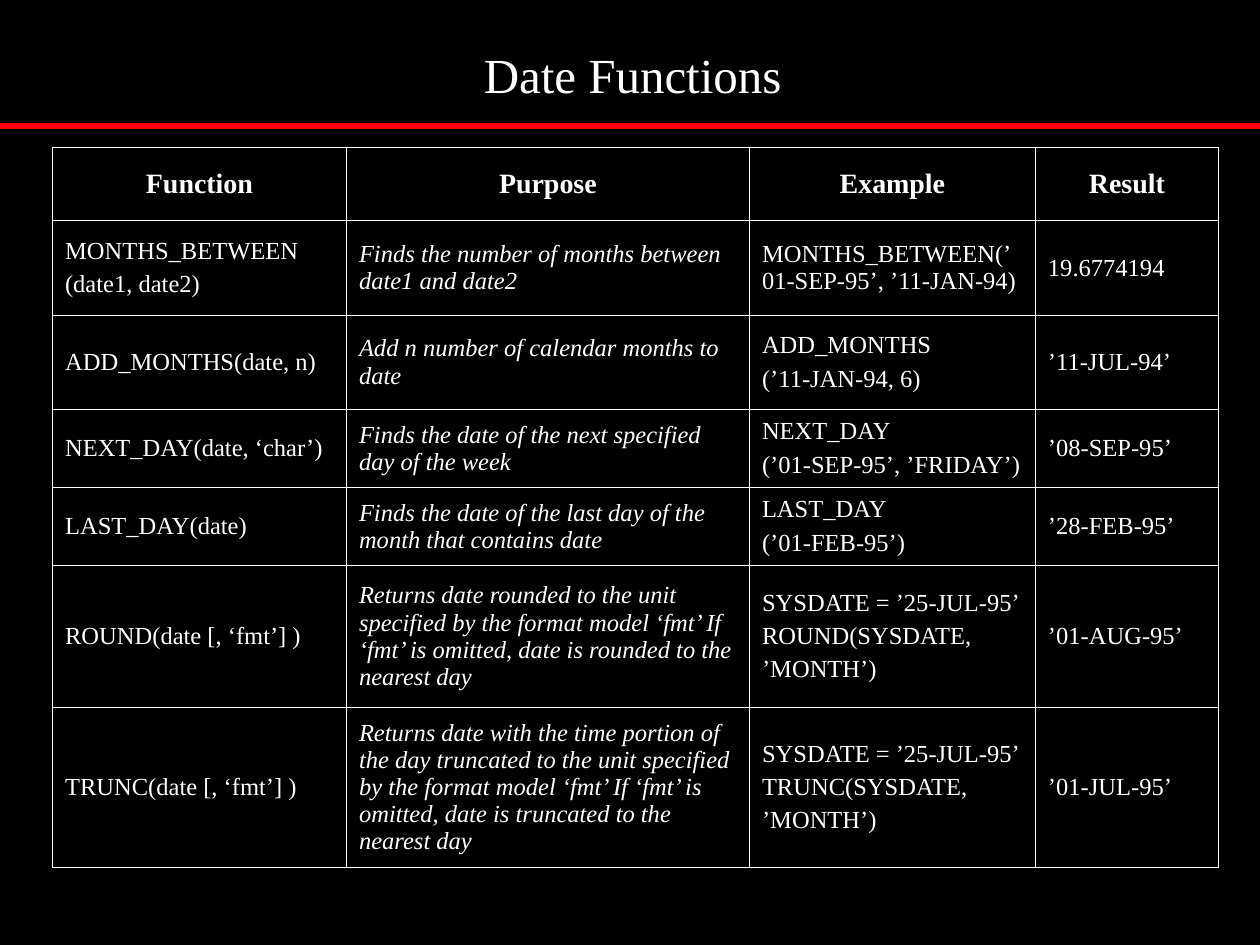
from lxml import etree
from pptx import Presentation
from pptx.dml.color import RGBColor
from pptx.enum.shapes import MSO_CONNECTOR
from pptx.enum.text import MSO_ANCHOR, PP_ALIGN
from pptx.oxml.ns import qn
from pptx.util import Pt

STRAIGHT = MSO_CONNECTOR.STRAIGHT
MIDDLE = MSO_ANCHOR.MIDDLE
LEFT, CENTER = PP_ALIGN.LEFT, PP_ALIGN.CENTER

COLUMN_WIDTHS = [168, 230.3, 163.4, 104.6]
ROW_HEIGHTS = [41.6, 54.2, 53.8, 44.6, 44.6, 81.1, 91.4]
HEADINGS = ["Function", "Purpose", "Example", "Result"]
PURPOSE_COLUMN = HEADINGS.index("Purpose")
FUNCTIONS = [
    ["MONTHS_BETWEEN\n(date1, date2)",
     "Finds the number of months between date1 and date2",
     "MONTHS_BETWEEN(’01-SEP-95’, ’11-JAN-94)",
     "19.6774194"],
    ["ADD_MONTHS(date, n)",
     "Add n number of calendar months to date",
     "ADD_MONTHS\n(’11-JAN-94, 6)",
     "’11-JUL-94’"],
    ["NEXT_DAY(date, ‘char’)",
     "Finds the date of the next specified day of the week",
     "NEXT_DAY\n(’01-SEP-95’, ’FRIDAY’)",
     "’08-SEP-95’"],
    ["LAST_DAY(date)",
     "Finds the date of the last day of the month that contains date",
     "LAST_DAY\n(’01-FEB-95’)",
     "’28-FEB-95’"],
    ["ROUND(date [, ‘fmt’] )",
     "Returns date rounded to the unit specified by the format model ‘fmt’ "
     "If ‘fmt’ is omitted, date is rounded to the nearest day",
     "SYSDATE = ’25-JUL-95’\nROUND(SYSDATE,\n’MONTH’)",
     "’01-AUG-95’"],
    ["TRUNC(date [, ‘fmt’] )",
     "Returns date with the time portion of the day truncated to the unit "
     "specified by the format model ‘fmt’ If ‘fmt’ is omitted, date is "
     "truncated to the nearest day",
     "SYSDATE = ’25-JUL-95’\nTRUNC(SYSDATE,\n’MONTH’)",
     "’01-JUL-95’"],
]


def color(value):
    return RGBColor.from_string(value)


def write_text(text_frame, text, size=14, font="Times New Roman", fill="FFFFFF",
               bold=False, italic=False, align=LEFT, gap=3.5):
    text_frame.text = text
    for index, paragraph in enumerate(text_frame.paragraphs):
        paragraph.alignment = align
        paragraph.space_before = Pt(gap if index else 0)
        paragraph.font.name = font
        paragraph.font.size = Pt(size)
        paragraph.font.bold = bold
        paragraph.font.italic = italic
        paragraph.font.color.rgb = color(fill)


class SlideBuilder:
    background = "000000"
    border = "FFFFFF"
    border_width = 0.45
    accent = "FF0000"

    def __init__(self, slide):
        self.slide = slide
        slide.background.fill.solid()
        slide.background.fill.fore_color.rgb = color(self.background)

    def title(self, text, left, top, width, height):
        shape = self.slide.shapes.title
        shape.left, shape.top = Pt(left), Pt(top)
        shape.width, shape.height = Pt(width), Pt(height)
        shape.text_frame.vertical_anchor = MIDDLE
        write_text(shape.text_frame, text, size=28, align=CENTER)

    def rule(self, left, right, top, width):
        line = self.slide.shapes.add_connector(
            STRAIGHT, Pt(left), Pt(top), Pt(right), Pt(top))
        line.line.color.rgb = color(self.accent)
        line.line.width = Pt(width)
        etree.SubElement(line._element.spPr, qn("a:effectLst"))

    def outline(self, cell):
        properties = cell._tc.get_or_add_tcPr()
        for side in ("lnL", "lnR", "lnT", "lnB"):
            line = etree.SubElement(properties, qn(f"a:{side}"),
                                    w=str(Pt(self.border_width)))
            fill = etree.SubElement(line, qn("a:solidFill"))
            etree.SubElement(fill, qn("a:srgbClr"), val=self.border)

    def table(self, rows, left, top, widths, heights):
        frame = self.slide.shapes.add_table(
            len(rows), len(widths), Pt(left), Pt(top),
            Pt(sum(widths)), Pt(sum(heights)))
        table = frame.table
        table.horz_banding = False
        for column, width in zip(table.columns, widths):
            column.width = Pt(width)
        for row, height in zip(table.rows, heights):
            row.height = Pt(height)
        for row_index, row in enumerate(rows):
            for column_index, text in enumerate(row):
                cell = table.cell(row_index, column_index)
                cell.vertical_anchor = MIDDLE
                self.outline(cell)
                cell.fill.background()
                if row_index == 0:
                    write_text(cell.text_frame, text, size=16, bold=True, align=CENTER)
                else:
                    write_text(cell.text_frame, text,
                               italic=column_index == PURPOSE_COLUMN)


def main():
    presentation = Presentation()
    presentation.slide_width, presentation.slide_height = Pt(720), Pt(540)
    title_only = presentation.slide_layouts[5]
    builder = SlideBuilder(presentation.slides.add_slide(title_only))
    builder.title("Date Functions", 55.5, 18, 612, 48)
    builder.rule(0, 720, 72, 3)
    builder.table([HEADINGS] + FUNCTIONS, 30, 84.3, COLUMN_WIDTHS, ROW_HEIGHTS)
    presentation.save("out.pptx")


if __name__ == "__main__":
    main()
